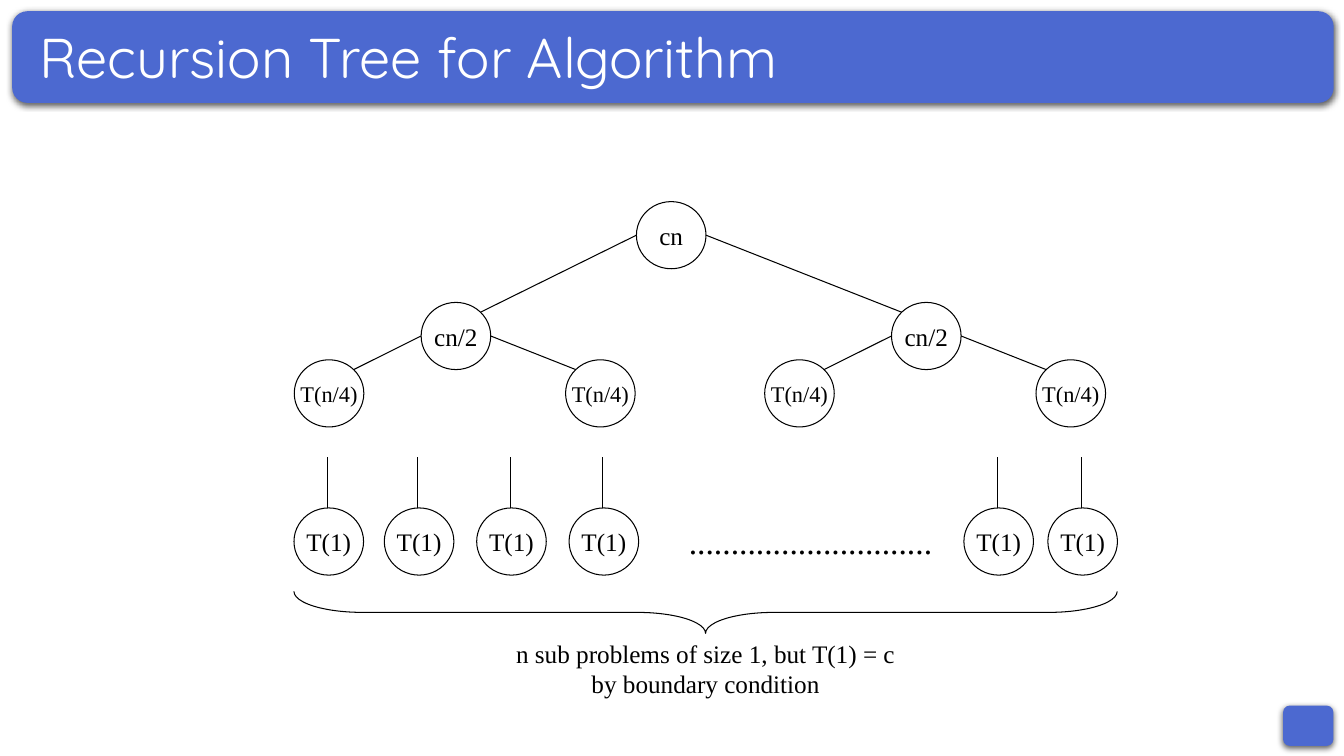
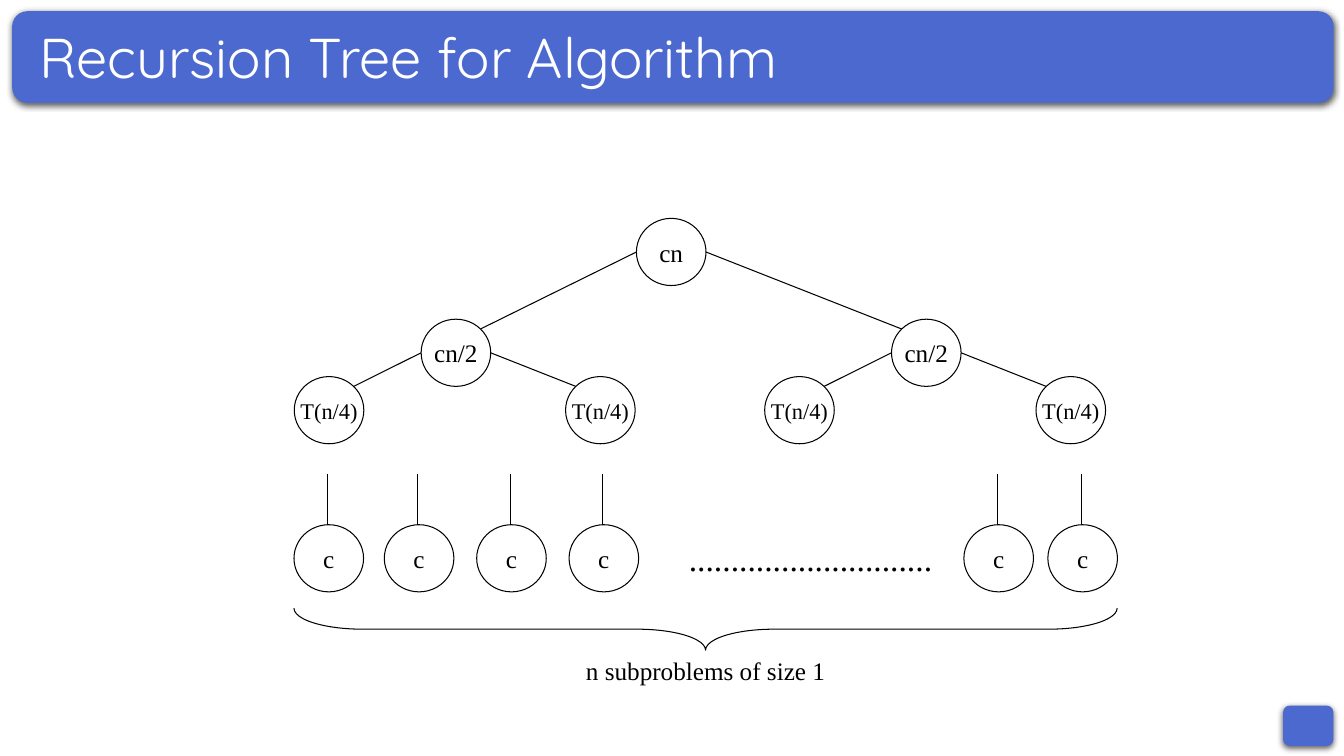
"""Build two slides that show a recursion tree and its leaves."""
from dataclasses import dataclass

from lxml import etree
from pptx import Presentation
from pptx.dml.color import RGBColor
from pptx.enum.shapes import MSO_CONNECTOR, MSO_SHAPE
from pptx.enum.text import MSO_ANCHOR, PP_ALIGN
from pptx.oxml.ns import qn
from pptx.shapes.autoshape import Shape
from pptx.slide import Slide
from pptx.util import Pt

ELLIPSE = MSO_SHAPE.OVAL
ROUNDED = MSO_SHAPE.ROUNDED_RECTANGLE
BRACE = MSO_SHAPE.LEFT_BRACE
STRAIGHT = MSO_CONNECTOR.STRAIGHT
CENTER, LEFT = PP_ALIGN.CENTER, PP_ALIGN.LEFT
MIDDLE = MSO_ANCHOR.MIDDLE


@dataclass(frozen=True)
class Theme:
    band: RGBColor = RGBColor(0x4C, 0x69, 0xD0)
    ink: RGBColor = RGBColor(0, 0, 0)
    paper: RGBColor = RGBColor(0xFF, 0xFF, 0xFF)
    title_font: str = "Quicksand"
    body_font: str = "Times New Roman"
    title_size: float = 40
    dots_size: float = 24
    body_size: float = 18
    small_size: float = 16
    line_width: float = 0.75


@dataclass(frozen=True)
class Area:
    left: float
    top: float
    width: float
    height: float

    def lengths(self) -> tuple[Pt, Pt, Pt, Pt]:
        """Give the area as lengths."""
        return Pt(self.left), Pt(self.top), Pt(self.width), Pt(self.height)


@dataclass(frozen=True)
class Node:
    label: str
    left: float
    top: float
    size: float = 18
    children: tuple["Node", ...] = ()


@dataclass(frozen=True)
class TreePage:
    top: float
    leaf: str
    caption: str
    caption_height: float


THEME = Theme()
TITLE = "Recursion Tree for Algorithm"
TITLE_AREA = Area(21, 18, 919, 46.8)
BANDS = (Area(916.5, 504, 36, 28.8), Area(8.7, 8, 944, 65.5))
NODE_WIDTH, NODE_HEIGHT = 49.7, 48
CORNER = 0.146
SUBTREE_STEP = 336
LEAF_LEFTS = (210, 274.5, 340.5, 406.5, 688.5, 748.5)
LEAF_TOP, STEM_TOP, STEM_OFFSET = 218.8, 182.4, 24
BRACE_CENTER, BRACE_TOP = 504, 278.4
BRACE_SPAN, BRACE_DEPTH = 588, 30
PAGES = (
    TreePage(144, "T(1)", "n sub problems of size 1, but T(1) = c by boundary condition", 50.4),
    TreePage(156, "c", "n subproblems of size 1", 28.8),
)


def add_band(page: Slide, area: Area) -> None:
    """Draw a rounded band with a soft shadow below it."""
    band = page.shapes.add_shape(ROUNDED, *area.lengths())
    band.fill.solid()
    band.fill.fore_color.rgb = THEME.band
    band.line.fill.background()
    band.shadow.inherit = False
    effects = band._element.spPr.find(qn("a:effectLst"))
    shadow = etree.SubElement(effects, qn("a:outerShdw"), blurRad=str(Pt(4.5)),
                              dist=str(Pt(1.5)), dir="5400000", algn="t", rotWithShape="0")
    color = etree.SubElement(shadow, qn("a:srgbClr"), val=str(THEME.ink))
    etree.SubElement(color, qn("a:alpha"), val="63000")


def write(box: Shape, text: str, font: str, size: float, color: RGBColor,
          align: PP_ALIGN = CENTER, wrap: bool = True) -> None:
    """Fill a box with one paragraph of styled text."""
    box.text_frame.word_wrap = wrap
    para = box.text_frame.paragraphs[0]
    para.text = text
    para.alignment = align
    para.font.name = font
    para.font.size = Pt(size)
    para.font.color.rgb = color


def add_label(page: Slide, area: Area, text: str, size: float) -> None:
    """Add a centred line of body text."""
    write(page.shapes.add_textbox(*area.lengths()), text, THEME.body_font, size, THEME.ink)


def add_title(page: Slide) -> None:
    """Add the bands and the title that every page shares."""
    for area in BANDS:
        add_band(page, area)
    box = page.shapes.add_textbox(*TITLE_AREA.lengths())
    write(box, TITLE, THEME.title_font, THEME.title_size, THEME.paper, LEFT)
    box.text_frame.paragraphs[0].line_spacing = 0.9


def add_outline(page: Slide, kind: MSO_SHAPE, area: Area) -> Shape:
    """Add an unfilled shape with a thin outline."""
    shape = page.shapes.add_shape(kind, *area.lengths())
    shape.fill.background()
    shape.line.color.rgb = THEME.ink
    shape.line.width = Pt(THEME.line_width)
    shape.shadow.inherit = False
    return shape


def add_line(page: Slide, start: tuple[float, float], end: tuple[float, float]) -> None:
    """Draw a thin straight line."""
    line = page.shapes.add_connector(STRAIGHT, *(Pt(value) for value in start + end))
    line.line.color.rgb = THEME.ink
    line.line.width = Pt(THEME.line_width)
    etree.SubElement(line._element.spPr, qn("a:effectLst"))


def add_node(page: Slide, node: Node, origin: float) -> None:
    """Draw a node, its edges and its children."""
    top = origin + node.top
    circle = add_outline(page, ELLIPSE, Area(node.left, top, NODE_WIDTH, NODE_HEIGHT))
    write(circle, node.label, THEME.body_font, node.size, THEME.ink, wrap=False)
    circle.text_frame.vertical_anchor = MIDDLE
    for child in node.children:
        is_left = child.left < node.left
        start_left = node.left if is_left else node.left + NODE_WIDTH
        share = 1 - CORNER if is_left else CORNER
        add_line(page, (start_left, top + NODE_HEIGHT / 2),
                 (child.left + share * NODE_WIDTH, origin + child.top + CORNER * NODE_HEIGHT))
        add_node(page, child, origin)


def make_tree() -> Node:
    """Build the root with its two equal subtrees."""
    halves = tuple(
        Node("cn/2", 300.8 + shift, 72, THEME.body_size, tuple(
            Node("T(n/4)", left + shift, 113, THEME.small_size) for left in (210.2, 404)))
        for shift in (0, SUBTREE_STEP))
    return Node("cn", 454.6, 0, THEME.body_size, halves)


def add_leaves(page: Slide, label: str, origin: float) -> None:
    """Draw the bottom row with its stems and dots."""
    for left in LEAF_LEFTS:
        add_node(page, Node(label, left, LEAF_TOP, THEME.body_size), origin)
        stem = left + STEM_OFFSET
        add_line(page, (stem, origin + LEAF_TOP), (stem, origin + STEM_TOP))
    add_label(page, Area(480, origin + 224.6, 198, 36), "." * 29, THEME.dots_size)


def add_brace(page: Slide, origin: float) -> None:
    """Draw the brace below the leaves, turned to point down."""
    area = Area(BRACE_CENTER - BRACE_DEPTH / 2,
                origin + BRACE_TOP + (BRACE_DEPTH - BRACE_SPAN) / 2, BRACE_DEPTH, BRACE_SPAN)
    brace = add_outline(page, BRACE, area)
    brace.rotation = 270
    brace.adjustments[0] = 1.63
    brace.adjustments[1] = 0.5


def main() -> None:
    """Build and save the deck."""
    deck = Presentation()
    deck.slide_width, deck.slide_height = Pt(960), Pt(540)
    tree = make_tree()
    for content in PAGES:
        page = deck.slides.add_slide(deck.slide_layouts[6])
        add_title(page)
        add_node(page, tree, content.top)
        add_leaves(page, content.leaf, content.top)
        add_brace(page, content.top)
        add_label(page, Area(354, content.top + 308.4, 300, content.caption_height),
                  content.caption, THEME.body_size)
    deck.save("out.pptx")


if __name__ == "__main__":
    main()
